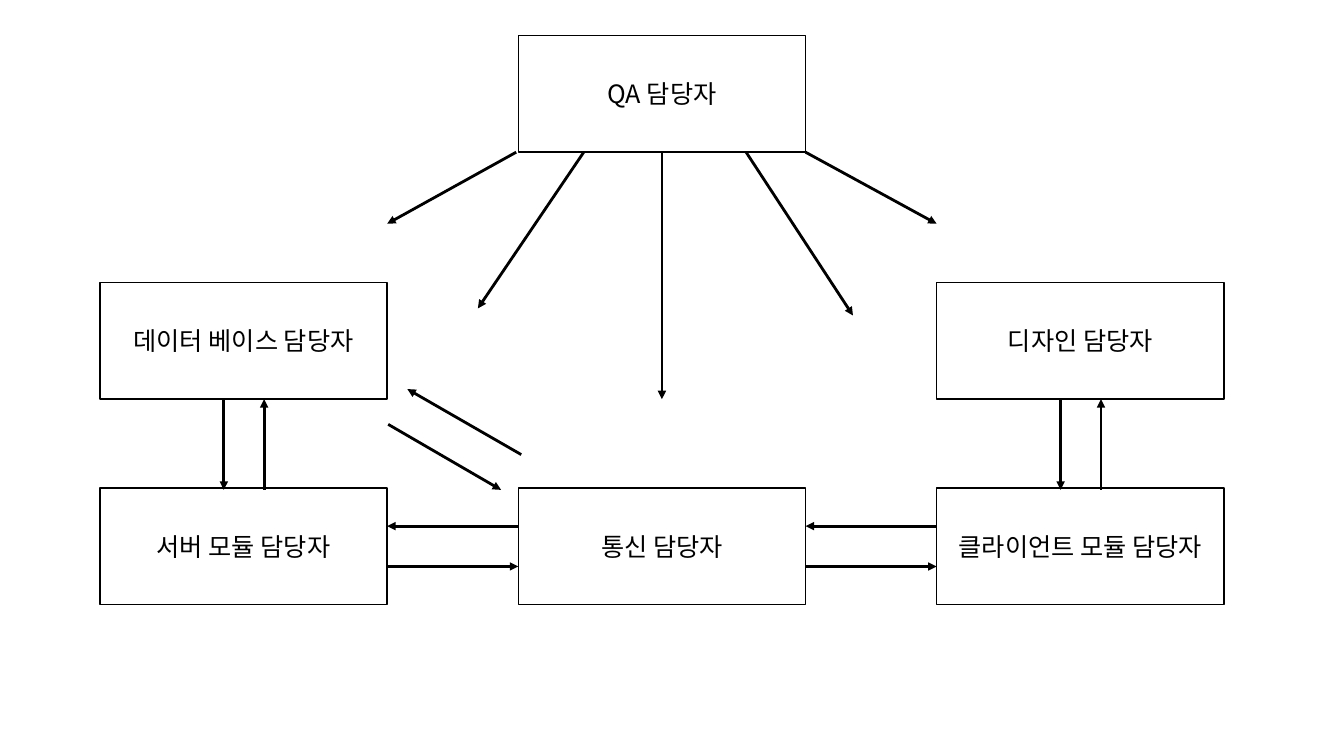
"""Build a slide showing how the QA owner and the module owners work together."""
from lxml.etree import SubElement
from pptx import Presentation
from pptx.dml.color import RGBColor
from pptx.enum.shapes import MSO_CONNECTOR, MSO_SHAPE
from pptx.enum.text import MSO_ANCHOR, PP_ALIGN
from pptx.oxml.ns import qn
from pptx.util import Pt

PX = 9144
FONT = "Noto Sans CJK KR"
BLACK, WHITE = "000000", "FFFFFF"
BOX_WIDTH, BOX_HEIGHT = 285, 116
LEFT, CENTER, RIGHT = 99, 514, 929
TOP, MIDDLE, BOTTOM = 35, 280, 484


def write_text(box, text, size=18, color=BLACK, align=PP_ALIGN.CENTER):
    frame = box.text_frame
    frame.word_wrap = True
    frame.vertical_anchor = MSO_ANCHOR.MIDDLE
    para = frame.paragraphs[0]
    para.alignment = align
    span = para.add_run()
    span.text = text
    span.font.size = Pt(size)
    span.font.name = FONT
    span.font.color.rgb = RGBColor.from_string(color)
    SubElement(span.font._element, qn("a:ea"), typeface=FONT)


def draw_arrow(page, *ends):
    arrow = page.shapes.add_connector(MSO_CONNECTOR.STRAIGHT, *(end * PX for end in ends))
    arrow.line.width = Pt(2)
    arrow.line.color.rgb = RGBColor.from_string(BLACK)
    SubElement(arrow.line._get_or_add_ln(), qn("a:tailEnd"), type="triangle")
    SubElement(arrow._element.spPr, qn("a:effectLst"))
    return arrow


deck = Presentation()
deck.slide_width, deck.slide_height = 1333 * PX, 750 * PX
page = deck.slides.add_slide(deck.slide_layouts[6])

owners = [
    ("데이터 베이스 담당자", LEFT, MIDDLE),
    ("통신 담당자", CENTER, BOTTOM),
    ("디자인 담당자", RIGHT, MIDDLE),
    ("서버 모듈 담당자", LEFT, BOTTOM),
    ("클라이언트 모듈 담당자", RIGHT, BOTTOM),
    ("QA 담당자", CENTER, TOP),
]
boxes = {}
for name, left, top in owners:
    box = page.shapes.add_shape(
        MSO_SHAPE.RECTANGLE, left * PX, top * PX, BOX_WIDTH * PX, BOX_HEIGHT * PX)
    box.shadow.inherit = False
    box.fill.solid()
    box.fill.fore_color.rgb = RGBColor.from_string(WHITE)
    box.line.color.rgb = RGBColor.from_string(BLACK)
    box.line.width = Pt(1)
    write_text(box, name)
    boxes[name] = box

for left in (LEFT, CENTER):
    start, end = left + BOX_WIDTH, left + CENTER - LEFT
    draw_arrow(page, end, BOTTOM + 38, start, BOTTOM + 38)
    draw_arrow(page, start, BOTTOM + 78, end, BOTTOM + 78)

draw_arrow(page, 517, 451, 404, 386)
draw_arrow(page, 385, 421, 497, 486)

for left in (LEFT, RIGHT):
    start, end = MIDDLE + BOX_HEIGHT, BOTTOM + 2
    draw_arrow(page, left + 163, end, left + 163, start)
    draw_arrow(page, left + 123, start, left + 123, end)

qa_bottom = TOP + BOX_HEIGHT
for start, end, depth in [(512, 384, 222), (799, 929, 222), (579, 474, 306), (740, 846, 313)]:
    draw_arrow(page, start, qa_bottom, end, depth)
center_arrow = draw_arrow(page, 657, qa_bottom, 657, 396)
center_arrow.begin_connect(boxes["QA 담당자"], 2)
center_arrow.end_x = center_arrow.begin_x

deck.save("out.pptx")
